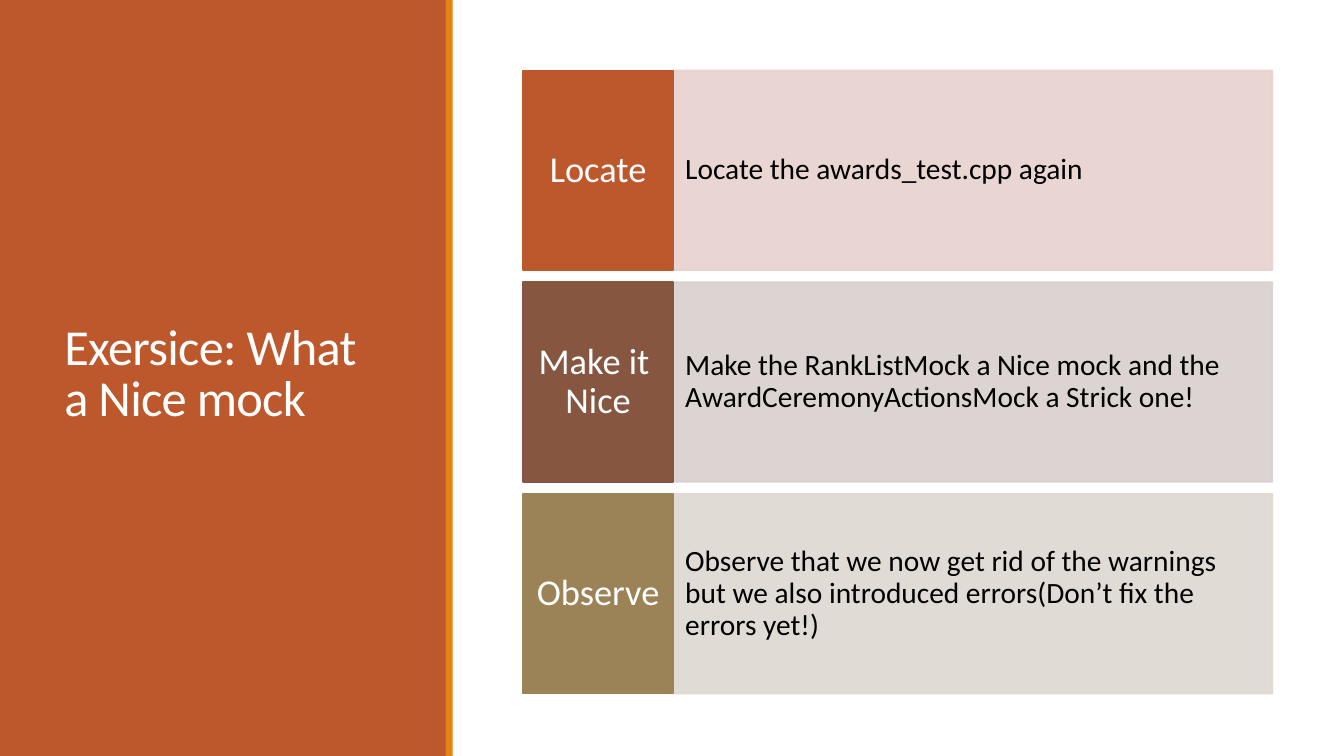
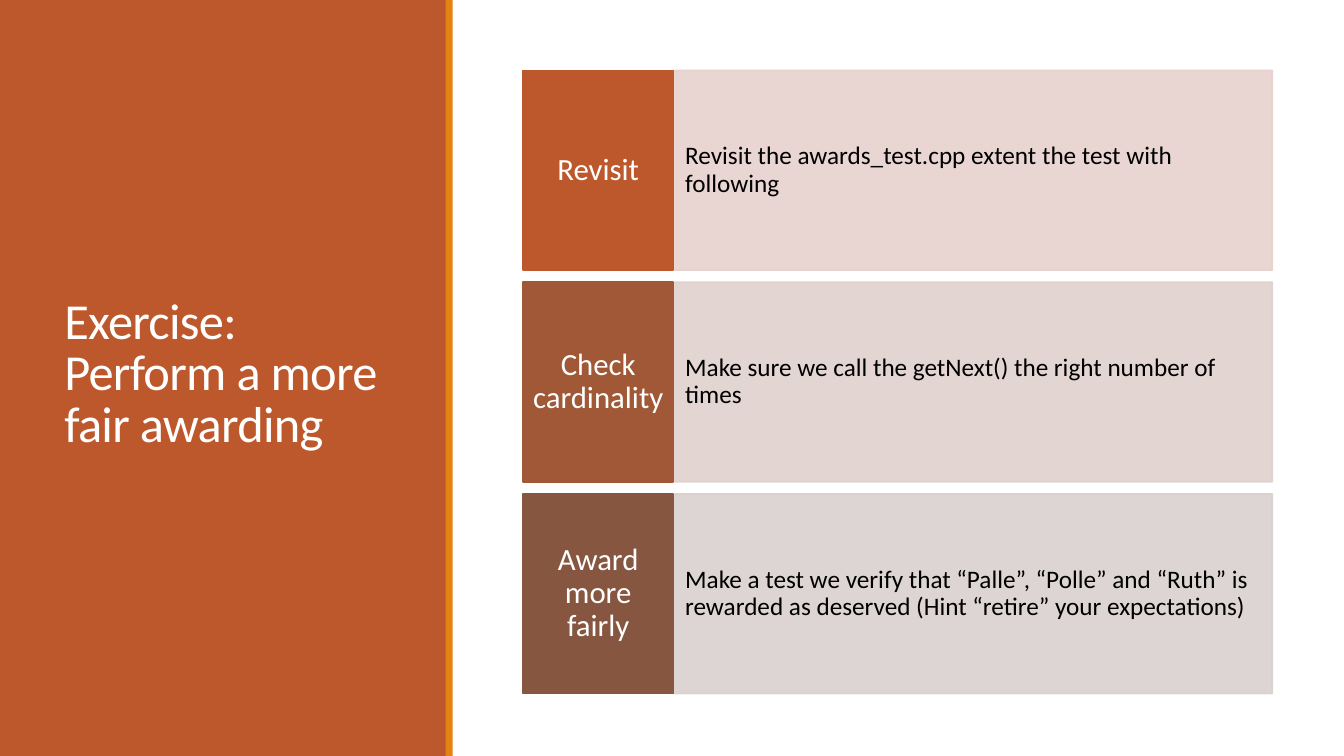
import pptx
import pptx.dml.color
import pptx.enum.shapes
import pptx.enum.text
import pptx.oxml
import pptx.oxml.ns
import pptx.util

Inches, Pt = pptx.util.Inches, pptx.util.Pt
ALIGN = pptx.enum.text.PP_ALIGN
RECTANGLE = pptx.enum.shapes.MSO_SHAPE.RECTANGLE

FONT = "Calibri"
RUST, AMBER, WHITE, BLACK = "BD582C", "E48312", "FFFFFF", "000000"
SLIDE_WIDTH, SLIDE_HEIGHT = 13.33, 7.5
PANEL_WIDTH, STRIPE_WIDTH = 4.43, 0.07
GRID_LEFT, GRID_TOP, GRID_WIDTH = 5.19, 0.7, 7.43
LABEL_WIDTH = GRID_WIDTH / 5
ROW_HEIGHT, ROW_PITCH = 1.98, 2.1

EXERCISES = [
    {
        "title": "Exersice: What a Nice mock",
        "label_size": 26, "label_after": 9.1, "step_size": 21, "step_after": 7.3,
        "steps": [
            ("Locate", RUST, "E7D1CD", "Locate the awards_test.cpp again"),
            ("Make it  Nice", "865640", "D9D0CE",
             "Make the RankListMock a Nice mock and the AwardCeremonyActionsMock a Strick one!"),
            ("Observe", "9B8357", "DED8D1",
             "Observe that we now get rid of the warnings but we also introduced "
             "errors(Don’t fix the errors yet!)"),
        ],
    },
    {
        "title": "Exercise: Perform a more fair awarding",
        "label_size": 22, "label_after": 7.7, "step_size": 18, "step_after": 6.3,
        "steps": [
            ("Revisit", RUST, "E7D1CD",
             "Revisit the awards_test.cpp extent the test with following"),
            ("Check cardinality", "A05837", "E0D1CD",
             "Make sure we call the getNext() the right number of times"),
            ("Award more fairly", "865640", "D9D1CF",
             "Make a test we verify that “Palle”, “Polle” and “Ruth” is rewarded "
             "as deserved (Hint “retire” your expectations)"),
        ],
    },
]


def paint(fill, color, opacity=100):
    fill.solid()
    fill.fore_color.rgb = pptx.dml.color.RGBColor.from_string(color)
    if opacity < 100:
        tint = fill._xPr.find(".//" + pptx.oxml.ns.qn("a:srgbClr"))
        alpha = pptx.oxml.parse_xml(
            f'<a:alpha {pptx.oxml.ns.nsdecls("a")} val="{opacity * 1000}"/>')
        tint.append(alpha)


def write(shape, text, size, color, align=ALIGN.LEFT, line=0.9, after=0,
          inset=(0.1, 0.05), tracking=0):
    frame = shape.text_frame
    frame.word_wrap = True
    frame.vertical_anchor = pptx.enum.text.MSO_ANCHOR.MIDDLE
    frame.margin_left = frame.margin_right = Inches(inset[0])
    frame.margin_top = frame.margin_bottom = Inches(inset[1])
    paragraph = frame.paragraphs[0]
    paragraph.alignment = align
    paragraph.line_spacing = line
    paragraph.space_after = Pt(after)
    run = paragraph.add_run()
    run.text = text
    run.font.name = FONT
    run.font.size = Pt(size)
    paint(run.font.fill, color)
    if tracking:
        run.font._element.set("spc", str(int(tracking * 100)))


deck = pptx.Presentation()
deck.slide_width = Inches(SLIDE_WIDTH)
deck.slide_height = Inches(SLIDE_HEIGHT)

for exercise in EXERCISES:
    slide = deck.slides.add_slide(deck.slide_layouts[6])

    for left, width, color in [(0, PANEL_WIDTH, RUST),
                               (PANEL_WIDTH - 0.01, STRIPE_WIDTH, AMBER)]:
        band = slide.shapes.add_shape(
            RECTANGLE, Inches(left), 0, Inches(width), deck.slide_height)
        band.shadow.inherit = False
        paint(band.fill, color)
        band.line.fill.background()

    title = slide.shapes.add_textbox(
        Inches(0.54), Inches(0.57), Inches(3.37), Inches(6.31))
    write(title, exercise["title"], size=36, color=WHITE, line=0.85, tracking=-0.5)

    label_format = dict(size=exercise["label_size"], after=exercise["label_after"],
                        color=WHITE, align=ALIGN.CENTER, inset=(0.08, 0.2))
    step_format = dict(size=exercise["step_size"], after=exercise["step_after"],
                       color=BLACK, inset=(0.12, 0.5))

    for row, (label, label_color, step_color, step) in enumerate(exercise["steps"]):
        top = GRID_TOP + row * ROW_PITCH
        cells = [
            (GRID_LEFT + LABEL_WIDTH, GRID_WIDTH - LABEL_WIDTH,
             step_color, 90, step, step_format),
            (GRID_LEFT, LABEL_WIDTH, label_color, 100, label, label_format),
        ]
        for left, width, color, opacity, text, text_format in cells:
            cell = slide.shapes.add_shape(
                RECTANGLE, Inches(left), Inches(top), Inches(width), Inches(ROW_HEIGHT))
            cell.shadow.inherit = False
            paint(cell.fill, color, opacity)
            cell.line.width = Pt(1.25)
            paint(cell.line.fill, color, opacity)
            write(cell, text, **text_format)

deck.save("out.pptx")
